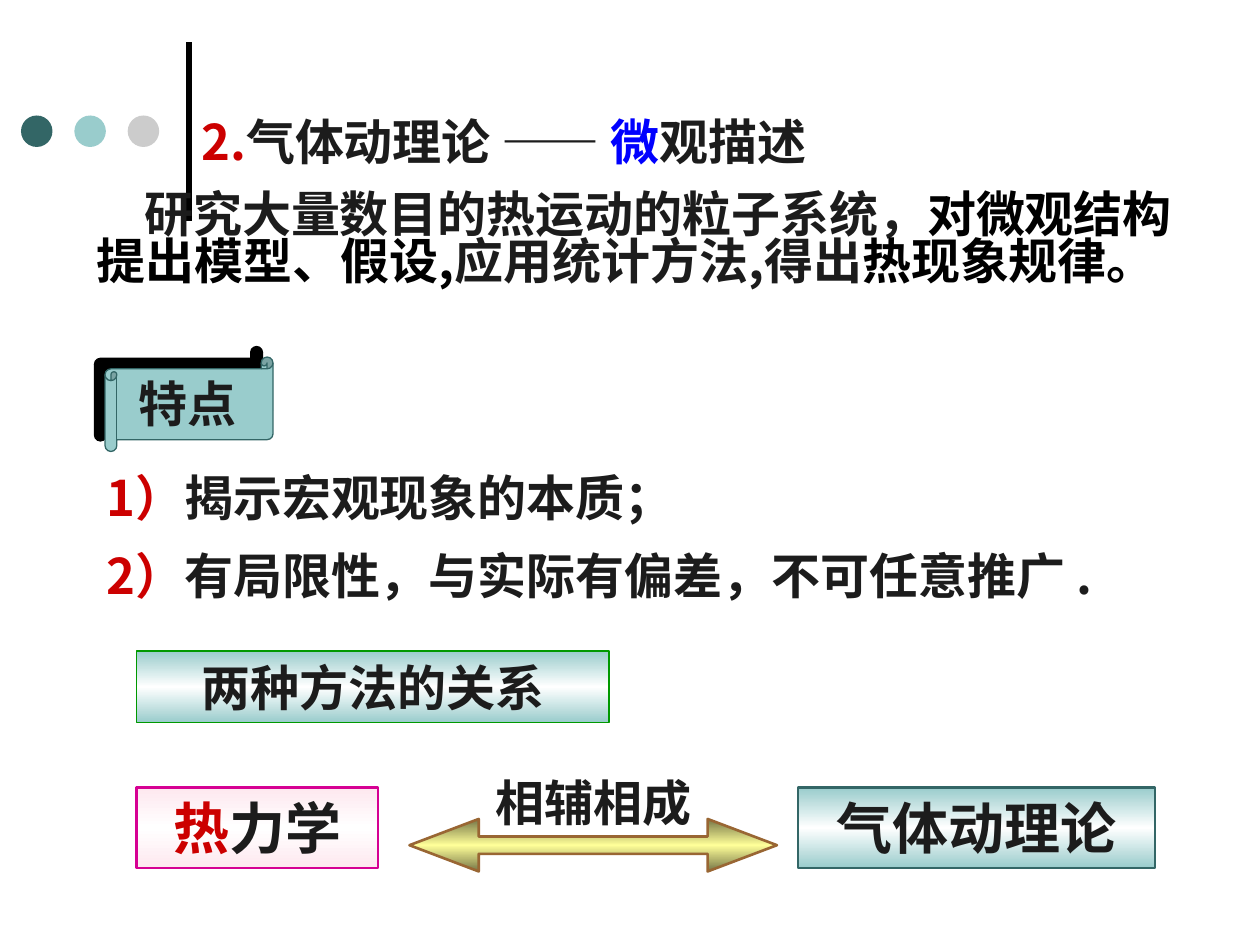
from copy import deepcopy
from dataclasses import dataclass
from typing import Optional

from lxml import etree
from pptx import Presentation, util as u
from pptx.dml.color import RGBColor
from pptx.enum import shapes, text
from pptx.oxml.ns import qn

UNIT = u.Inches(1) // 12  # grid of 120 columns by 90 rows
FONT = "Noto Sans CJK SC"

INK = RGBColor(0x1C, 0x1C, 0x1C)
BLACK = RGBColor(0, 0, 0)
WHITE = RGBColor(0xFF, 0xFF, 0xFF)
RED = RGBColor(0xCC, 0, 0)
BLUE = RGBColor(0, 0, 0xFF)
TEAL = RGBColor(0x33, 0x66, 0x66)
AQUA = RGBColor(0x99, 0xCC, 0xCC)
GREY = RGBColor(0xCC, 0xCC, 0xCC)
GREEN = RGBColor(0, 0x99, 0)
MAGENTA = RGBColor(0xD6, 0, 0x93)
PINK = RGBColor(0xFE, 0xE8, 0xEF)
OLIVE = RGBColor(0x75, 0x75, 0x46)
YELLOW = RGBColor(0xFF, 0xFF, 0x99)
BROWN = RGBColor(0x99, 0x66, 0x33)

Run = tuple[str, RGBColor]


@dataclass
class Area:
    """Position and size in grid columns and rows."""
    col: float
    row: float
    cols: float
    rows: float

    def emu(self) -> list[int]:
        return [round(v * UNIT) for v in (self.col, self.row, self.cols, self.rows)]


@dataclass
class Box:
    area: Area
    runs: list[Run]
    edge: RGBColor
    line: RGBColor
    width: float
    size: int


def write(sp, *paragraphs: list[Run], size: int = 28, align=text.PP_ALIGN.LEFT,
          spacing: Optional[float] = None, before: float = 0,
          left: float = 0, first: float = 0) -> None:
    """Fill a shape with paragraphs of coloured bold runs."""
    tf = sp.text_frame
    tf.word_wrap = True
    tf.vertical_anchor = text.MSO_ANCHOR.TOP
    for i, runs in enumerate(paragraphs):
        p = tf.add_paragraph() if i else tf.paragraphs[0]
        p.alignment = align
        if spacing:
            p.line_spacing = spacing
        if i:
            p.space_before = u.Pt(before)
        pPr = p._p.get_or_add_pPr()
        pPr.set("marL", str(u.Inches(left)))
        pPr.set("indent", str(u.Inches(first)))
        for words, color in runs:
            r = p.add_run()
            r.text = words
            r.font.name, r.font.size, r.font.bold = FONT, u.Pt(size), True
            r.font.color.rgb = color
            etree.SubElement(r._r.rPr, qn("a:ea"), typeface=FONT)


def add_text(s, area: Area, *paragraphs: list[Run], **fmt):
    sp = s.shapes.add_textbox(*area.emu())
    write(sp, *paragraphs, **fmt)
    return sp


def add_shape(s, kind, area: Area, fill: RGBColor, middle: Optional[RGBColor] = None,
              line: Optional[RGBColor] = None, width: float = 0.75):
    """Add a preset shape; a middle colour makes a mirrored vertical gradient."""
    sp = s.shapes.add_shape(kind, *area.emu())
    if middle is None:
        sp.fill.solid()
        sp.fill.fore_color.rgb = fill
    else:
        sp.fill.gradient()
        sp.fill.gradient_angle = 90
        stops = sp.fill.gradient_stops
        for stop, color, place in zip(stops, (fill, middle), (0, 0.5)):
            stop.color.rgb, stop.position = color, place
        gs = sp._element.spPr.find(qn("a:gradFill")).find(qn("a:gsLst"))
        last = deepcopy(gs[0])
        last.set("pos", "100000")
        gs.append(last)
    if line is None:
        sp.line.fill.background()
    else:
        sp.line.color.rgb = line
        sp.line.width = u.Pt(width)
    sp.shadow.inherit = False
    return sp


def add_rule(s, col: float, top: float, bottom: float) -> None:
    x, y1, y2 = (round(v * UNIT) for v in (col, top, bottom))
    ln = s.shapes.add_connector(shapes.MSO_CONNECTOR.STRAIGHT, x, y2, x, y1)
    ln.line.color.rgb = BLACK
    ln.line.width = u.Pt(3)
    etree.SubElement(ln._element.spPr, qn("a:effectLst"))


def add_hard_shadow(sp, dist: float, angle: int) -> None:
    effects = sp._element.spPr.find(qn("a:effectLst"))
    shadow = etree.SubElement(effects, qn("a:outerShdw"), dist=str(u.Pt(dist)),
                              dir=str(angle * 60000), algn="ctr", rotWithShape="0")
    etree.SubElement(shadow, qn("a:srgbClr"), val=str(BLACK))


BOXES = [
    Box(Area(13, 62, 45, 6.84), [("两种方法的关系", INK)], AQUA, GREEN, 0.75, 28),
    Box(Area(76, 75, 34, 7.68), [("气体动理论", INK)], AQUA, TEAL, 1.5, 32),
    Box(Area(13, 75, 23, 7.68), [("热", RED), ("力学", INK)], PINK, MAGENTA, 1.5, 32),
]


def main() -> None:
    prs = Presentation()
    prs.slide_width, prs.slide_height = 120 * UNIT, 90 * UNIT
    s = prs.slides.add_slide(prs.slide_layouts[6])
    kinds = shapes.MSO_SHAPE

    # Decoration: vertical rule and three dots
    add_rule(s, 18, 4, 21)
    for i, color in enumerate((TEAL, AQUA, GREY)):
        add_shape(s, kinds.OVAL, Area(2 + 5.08 * i, 11, 3, 3), color)

    # Heading and definition
    add_text(s, Area(18, 10, 77, 6.84),
             [("2.", RED), ("气体动理论 —— ", INK), ("微", BLUE), ("观描述", INK)])
    add_text(s, Area(8, 18, 105, 14.64),
             [("研究大量数目的热运动的粒子系统，", INK),
              ("对微观结构提出模型、假设,", BLACK),
              ("应用统计方法,得出", INK), ("热现象规律。", BLACK)],
             spacing=0.8, first=0.38)

    # Relation between the two methods
    for box in BOXES:
        sp = add_shape(s, kinds.RECTANGLE, box.area, box.edge, WHITE, box.line, box.width)
        write(sp, box.runs, size=box.size, align=text.PP_ALIGN.CENTER)
    arrow = add_shape(s, kinds.LEFT_RIGHT_ARROW, Area(39, 78, 35, 5),
                      OLIVE, YELLOW, BROWN, 1.5)
    arrow.adjustments[0], arrow.adjustments[1] = 0.33, 1.32
    add_text(s, Area(46, 73, 25, 6.84), [("相辅相成", INK)])

    # Features
    add_text(s, Area(8, 45, 104, 13.08),
             [("1）", RED), ("揭示宏观现象的本质；", INK)],
             [("2）", RED), ("有局限性，与实际有偏差，不可任意推广 .", INK)],
             spacing=0.8, before=17.5, left=0.08)
    scroll = add_shape(s, kinds.HORIZONTAL_SCROLL, Area(10, 34, 16, 9), AQUA, line=TEAL)
    add_hard_shadow(scroll, 8.5, 225)
    add_text(s, Area(12, 35, 19, 6.84), [("特点", INK)])

    prs.save("out.pptx")


if __name__ == "__main__":
    main()
